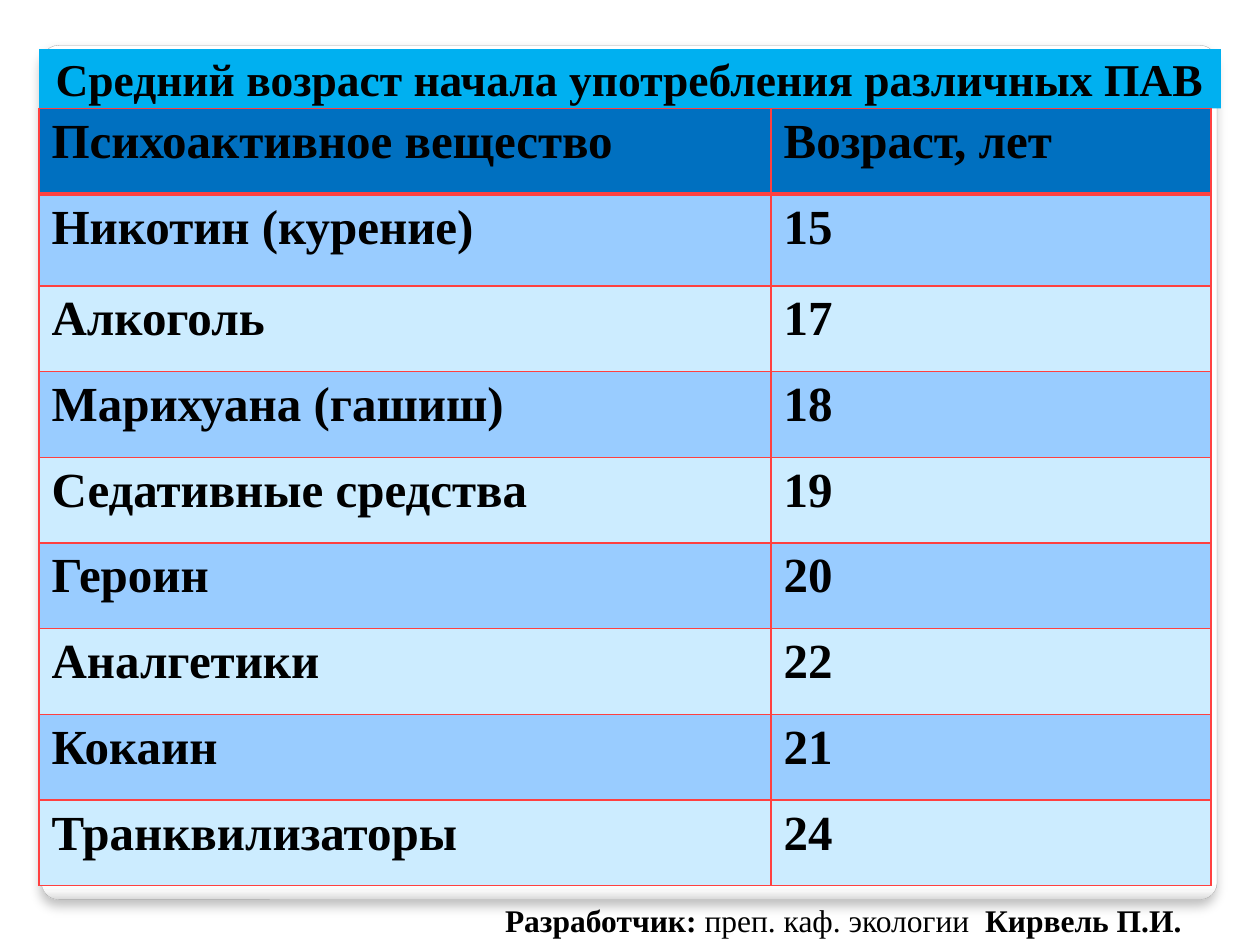
from lxml import etree
from pptx import Presentation
from pptx.dml.color import RGBColor
from pptx.enum.shapes import MSO_SHAPE
from pptx.enum.text import MSO_ANCHOR, PP_ALIGN
from pptx.oxml import parse_xml
from pptx.oxml.ns import nsdecls, qn
from pptx.util import Inches, Pt

ROUND, RECT = MSO_SHAPE.ROUNDED_RECTANGLE, MSO_SHAPE.RECTANGLE
MIDDLE, CENTER = MSO_ANCHOR.MIDDLE, PP_ALIGN.CENTER
FONT = "Times New Roman"
COLORS = {
    "text": "000000", "title": "00B0F0", "head": "0070C0",
    "odd": "99CCFF", "even": "CCECFF", "rule": "FF4040", "edge": "A4A4A4",
}
TITLE = "Средний возраст начала употребления различных ПАВ"
ROWS = [
    ("Психоактивное вещество", "Возраст, лет"),
    ("Никотин (курение)", "15"),
    ("Алкоголь", "17"),
    ("Марихуана (гашиш)", "18"),
    ("Седативные средства", "19"),
    ("Героин", "20"),
    ("Аналгетики", "22"),
    ("Кокаин", "21"),
    ("Транквилизаторы", "24"),
]
CREDIT = [
    ("Разработчик:", True),
    (" преп. каф. экологии  ", False),
    ("Кирвель П.И.", True),
]
COLS = (5.81, 3.49)
ROW, TALL = 0.68, 0.73
PANEL_STOPS = [(0, "FFFFFF"), (98, "FFFFFF"), (99, "F7F7F7"), (100, "DADADA")]


def color(name):
    return RGBColor.from_string(COLORS[name])


def box(*at):
    return [Inches(v) for v in at]


def add_run(para, text, size, bold=True):
    run = para.add_run()
    run.text = text
    run.font.name, run.font.size, run.font.bold = FONT, Pt(size), bold
    run.font.color.rgb = color("text")


def add_panel(slide):
    panel = slide.shapes.add_shape(ROUND, *box(0.33, 0.36, 9.33, 6.78))
    panel.adjustments[0] = 0.02
    panel.line.color.rgb = color("edge")
    panel.line.width = Pt(0.16)
    stops = "".join(
        f'<a:gs pos="{pos * 1000}"><a:srgbClr val="{tint}"/></a:gs>'
        for pos, tint in PANEL_STOPS)
    props = panel._element.spPr
    props.find(qn("a:prstGeom")).addnext(parse_xml(
        f'<a:gradFill {nsdecls("a")}><a:gsLst>{stops}</a:gsLst>'
        '<a:lin ang="5400000" scaled="0"/></a:gradFill>'))
    props.append(parse_xml(
        f'<a:effectLst {nsdecls("a")}><a:outerShdw blurRad="{Pt(6)}" '
        f'dist="{Pt(4)}" dir="5400000" algn="t" rotWithShape="0">'
        '<a:srgbClr val="000000"><a:alpha val="25000"/></a:srgbClr>'
        '</a:outerShdw></a:effectLst>'))


def add_credit(slide):
    frame = slide.shapes.add_textbox(*box(3.91, 7.1, 5.55, 0.4)).text_frame
    frame.word_wrap = True
    frame.margin_right = 0
    for text, bold in CREDIT:
        add_run(frame.paragraphs[0], text, 18, bold)


def add_title(slide):
    bar = slide.shapes.add_shape(RECT, *box(0.31, 0.39, 9.38, 0.47))
    bar.shadow.inherit = False
    bar.fill.solid()
    bar.fill.fore_color.rgb = color("title")
    bar.line.fill.background()
    frame = bar.text_frame
    frame.word_wrap = True
    frame.vertical_anchor = MIDDLE
    frame.paragraphs[0].alignment = CENTER
    add_run(frame.paragraphs[0], TITLE, 26)


def set_rules(cell, head):
    """Draw the four cell borders; the header row has a thick lower one."""
    props = cell._tc.get_or_add_tcPr()
    for i, side in enumerate("LRTB"):
        width = 3 if head and side == "B" else 1
        line = etree.Element(qn(f"a:ln{side}"), w=str(Pt(width)))
        fill = etree.SubElement(line, qn("a:solidFill"))
        etree.SubElement(fill, qn("a:srgbClr"), val=COLORS["rule"])
        props.insert(i, line)


def add_ages(slide):
    heights = [TALL if i == 1 else ROW for i in range(len(ROWS))]
    at = box(0.31, 0.86, sum(COLS), sum(heights))
    table = slide.shapes.add_table(len(ROWS), len(COLS), *at).table
    for col, width in zip(table.columns, COLS):
        col.width = Inches(width)
    for i, texts in enumerate(ROWS):
        table.rows[i].height = Inches(heights[i])
        tint = "head" if i == 0 else "odd" if i % 2 else "even"
        for j, text in enumerate(texts):
            cell = table.cell(i, j)
            cell.fill.solid()
            cell.fill.fore_color.rgb = color(tint)
            set_rules(cell, i == 0)
            add_run(cell.text_frame.paragraphs[0], text, 28)


def main():
    deck = Presentation()
    deck.slide_width, deck.slide_height = box(10, 7.5)
    slide = deck.slides.add_slide(deck.slide_layouts[6])
    add_panel(slide)
    add_credit(slide)
    add_title(slide)
    add_ages(slide)
    deck.save("out.pptx")


if __name__ == "__main__":
    main()
